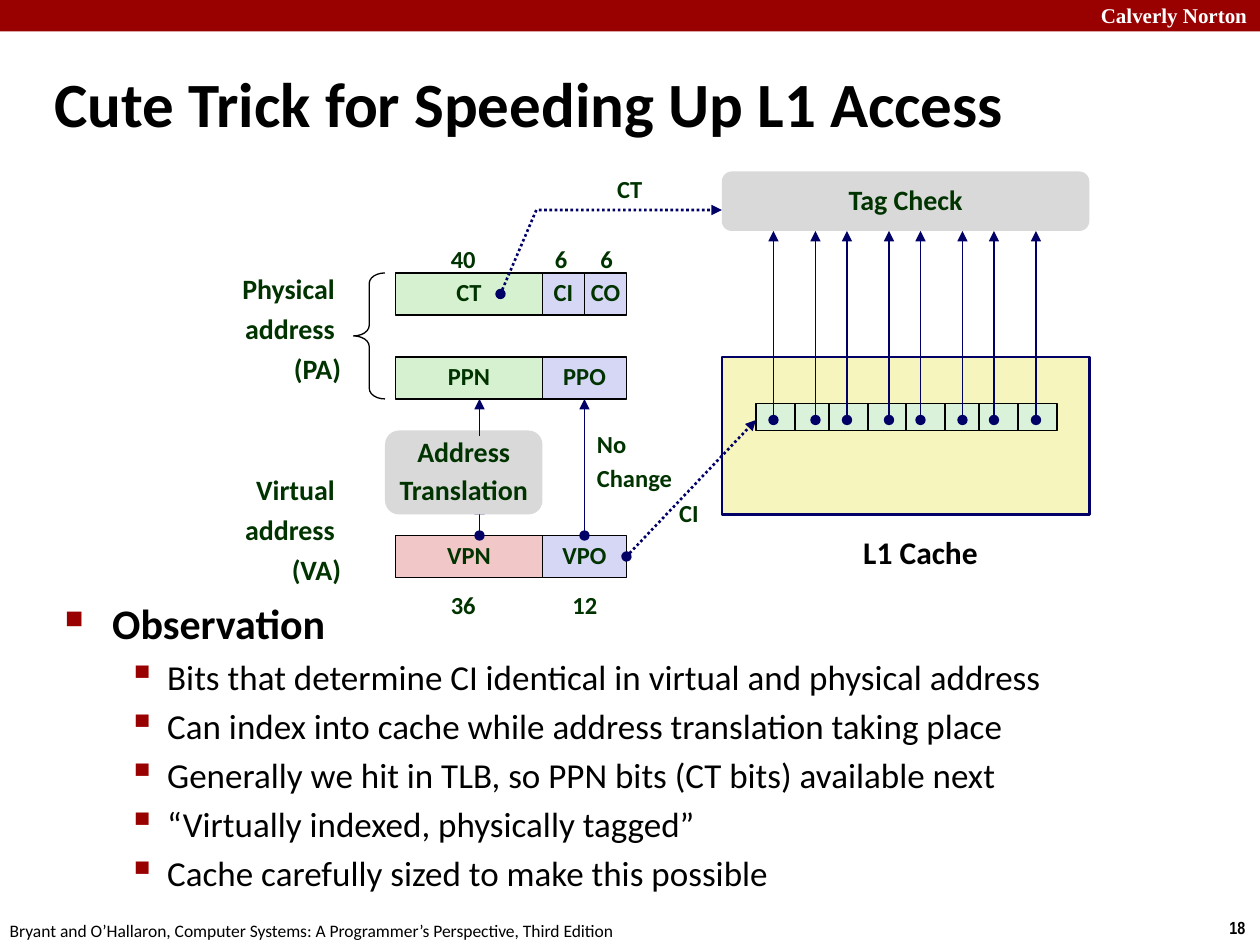
from itertools import product

from lxml import etree
from pptx import Presentation
from pptx.dml.color import RGBColor
from pptx.enum.dml import MSO_LINE
from pptx.enum.shapes import MSO_CONNECTOR, MSO_SHAPE
from pptx.enum.text import MSO_ANCHOR, PP_ALIGN
from pptx.oxml.ns import qn
from pptx.util import Pt

RECT, ROUNDED, BRACE = MSO_SHAPE.RECTANGLE, MSO_SHAPE.ROUNDED_RECTANGLE, MSO_SHAPE.LEFT_BRACE
LEFT, CENTER, RIGHT = PP_ALIGN.LEFT, PP_ALIGN.CENTER, PP_ALIGN.RIGHT
TOP, MIDDLE = MSO_ANCHOR.TOP, MSO_ANCHOR.MIDDLE
STRAIGHT, DOTTED = MSO_CONNECTOR.STRAIGHT, MSO_LINE.ROUND_DOT

BLACK, WHITE, RED = "000000", "FFFFFF", "990000"
INK, NAVY, GREY = "003300", "000066", "D9D9D9"
GREEN, LILAC, PINK, YELLOW, MINT = "D5F1CF", "D6D6F5", "F1C7C7", "F6F5BD", "DBF2DA"

presentation = Presentation()
presentation.slide_width, presentation.slide_height = Pt(720), Pt(540)
slide = presentation.slides.add_slide(presentation.slide_layouts[6])
shapes = slide.shapes


def paint(target, color):
    if color is None:
        target.background()
        return
    target.solid()
    target.fore_color.rgb = RGBColor.from_string(color)


def write(frame, lines, size, color=INK, bold=True, align=LEFT, anchor=TOP,
          before=0, spacing=1.0, font="Calibri", wrap=True):
    frame.text = "\n".join(lines)
    frame.word_wrap = wrap
    frame.vertical_anchor = anchor
    for line in frame.paragraphs:
        line.alignment = align
        line.space_before = Pt(before)
        line.line_spacing = spacing
        line.font.size = Pt(size)
        line.font.bold = bold
        line.font.name = font
        paint(line.font.fill, color)


def add_text(left, top, width, height, lines, size, **style):
    caption = shapes.add_textbox(Pt(left), Pt(top), Pt(width), Pt(height))
    write(caption.text_frame, lines, size, **style)
    return caption.text_frame


def add_label(left, top, width, height, lines, size=14, align=LEFT, before=5.2, wrap=False):
    add_text(left, top, width, height, lines, size, align=align,
             before=before, spacing=0.88, wrap=wrap)


def add_block(kind, left, top, width, height, fill, line=BLACK, weight=0.75, lines=(), size=14):
    block = shapes.add_shape(kind, Pt(left), Pt(top), Pt(width), Pt(height))
    block.shadow.inherit = False
    paint(block.fill, fill)
    paint(block.line.fill, line)
    if line:
        block.line.width = Pt(weight)
    if lines:
        write(block.text_frame, lines, size, align=CENTER, anchor=MIDDLE,
              before=5.2, spacing=0.88, wrap=False)
    return block


def style_arrow(arrow, weight, dotted, dot_start=True):
    paint(arrow.line.fill, NAVY)
    arrow.line.width = Pt(weight)
    if dotted:
        arrow.line.dash_style = DOTTED
    stroke = arrow.line.fill._xPr
    if dot_start:
        etree.SubElement(stroke, qn("a:headEnd"), type="oval")
    etree.SubElement(stroke, qn("a:tailEnd"), type="triangle")


def add_arrow(x1, y1, x2, y2, weight=0.75, dotted=False, dot_start=True):
    arrow = shapes.add_connector(STRAIGHT, Pt(x1), Pt(y1), Pt(x2), Pt(y2))
    style_arrow(arrow, weight, dotted, dot_start)
    etree.SubElement(arrow._element.spPr, qn("a:effectLst"))


def draw_frame(width, height):
    add_block(RECT, 0, 0, width, 18, RED, None)
    add_text(width - 98, -2, 103, 22, ["Calverly Norton"], 12, color=WHITE, font="Times New Roman")
    add_text(width - 24.5, height - 19.5, 24.5, 19.5, ["18"], 10, color=BLACK,
             font="Arial Narrow", wrap=False)
    citation = "Bryant and O’Hallaron, Computer Systems: A Programmer’s Perspective, Third Edition"
    add_text(-1.5, height - 18, 366, 19.5, [citation], 10, color=BLACK, bold=False, wrap=False)


def draw_address_row(left, top, fields):
    for name, width, fill in fields:
        add_block(RECT, left, top, width, 24, fill, lines=[name])
        left += width


def draw_addresses(left, top):
    page, offset = 84, 48
    physical, virtual = top + 48, top + 150
    page_x, offset_x = left + 48, left + page + 24
    for name, short, y in (("Physical ", "(PA)", top - 2), ("Virtual ", "(VA)", top + 113)):
        add_label(left - 108, y, 84, 70.5, [name, "address ", short], 16, RIGHT, 6, True)
    draw_address_row(left, top, [("CT", page, GREEN), ("CI", 24, LILAC), ("CO", 24, LILAC)])
    draw_address_row(left, physical, [("PPN", page, GREEN), ("PPO", offset, LILAC)])
    draw_address_row(left, virtual, [("VPN", page, PINK), ("VPO", offset, LILAC)])
    for bits, x, y, width in (("40", 24.5, -18, 29), ("6", 84, -18, 21.5), ("6", 110, -18, 21.5),
                              ("36", 24.5, 180, 29), ("12", 94, 180, 29)):
        add_label(left + x, top + y, width, 22.5, [bits])
    brace = add_block(BRACE, left - 24, top, 18, 72, None)
    brace.adjustments[0] = 0.333
    add_arrow(page_x, virtual, page_x, virtual - 18)
    add_block(ROUNDED, left - 6, top + 90, 90, 48, GREY, None,
              lines=["Address", "Translation"], size=16)
    add_arrow(page_x, top + 93, page_x, physical + 24, dot_start=False)
    add_arrow(offset_x, virtual, offset_x, physical + 24)
    add_label(offset_x, top + 87.5, 57.5, 42.5, ["No", "Change"])


def draw_cache(left, top, width):
    cache_top = top + 106
    add_block(ROUNDED, left, top, width, 34, GREY, None, lines=["Tag Check"], size=16)
    add_block(RECT, left, cache_top, width, 90, YELLOW, NAVY, 1.5)
    add_text(left + 65.5, cache_top + 97, 96, 29, ["L1 Cache"], 18, color=BLACK, align=CENTER)
    for steps in product((0, 85.7), (0, 41.8), (0, 22.3)):
        add_block(RECT, left + 19.5 + sum(steps), cache_top + 26.5, 22.3, 15.5, MINT, weight=1)
    for steps in product((0, 84), (0, 42), (0, 24)):
        x = left + 29.5 + sum(steps)
        add_arrow(x, cache_top + 36, x, top + 34)


def draw_links(address_left, address_top, cache_left):
    add_arrow(address_left + 132, address_top + 162, cache_left + 19.5, address_top + 84, 1.5, True)
    add_label(address_left + 155, address_top + 127.5, 26, 22.5, ["CI"])
    route = shapes.build_freeform(Pt(address_left + 60), Pt(address_top + 12))
    route.add_line_segments([(Pt(address_left + 80.5), Pt(address_top - 36)),
                             (Pt(cache_left), Pt(address_top - 36))], close=False)
    tag_route = route.convert_to_shape()
    tag_route.shadow.inherit = False
    paint(tag_route.fill, None)
    style_arrow(tag_route, 1.5, True)
    add_label(address_left + 119.5, address_top - 58, 29, 22.5, ["CT"])


def draw_observation(left, top, width, height):
    points = ["Observation",
              "Bits that determine CI identical in virtual and physical address",
              "Can index into cache while address translation taking place",
              "Generally we hit in TLB, so PPN bits (CT bits) available next",
              "“Virtually indexed, physically tagged”",
              "Cache carefully sized to make this possible"]
    frame = add_text(left, top, width, height, points, 20, color=BLACK, bold=False, before=4)
    for number, line in enumerate(frame.paragraphs):
        heading = number == 0
        margin, hang, scale, mark = (27, 27, 60, "■") if heading else (58.5, 22.5, 110, "▪")
        if heading:
            line.font.size, line.font.bold, line.space_before = Pt(24), True, Pt(4.8)
        else:
            line.level = 1
        properties = line._p.get_or_add_pPr()
        properties.set("marL", str(Pt(margin)))
        properties.set("indent", str(-Pt(hang)))
        bullet = [etree.Element(qn("a:buClr")),
                  etree.Element(qn("a:buSzPct"), val=str(scale * 1000)),
                  etree.Element(qn("a:buChar"), char=mark)]
        etree.SubElement(bullet[0], qn("a:srgbClr"), val=RED)
        for part in bullet:
            properties.find(qn("a:defRPr")).addprevious(part)


draw_frame(720, 540)
add_text(24, 36, 624, 45, ["Cute Trick for Speeding Up L1 Access"], 36, color=BLACK, anchor=MIDDLE)
draw_observation(30, 338, 673, 184)
draw_addresses(226, 156)
draw_cache(412.5, 98, 210)
draw_links(226, 156, 412.5)
presentation.save("out.pptx")
